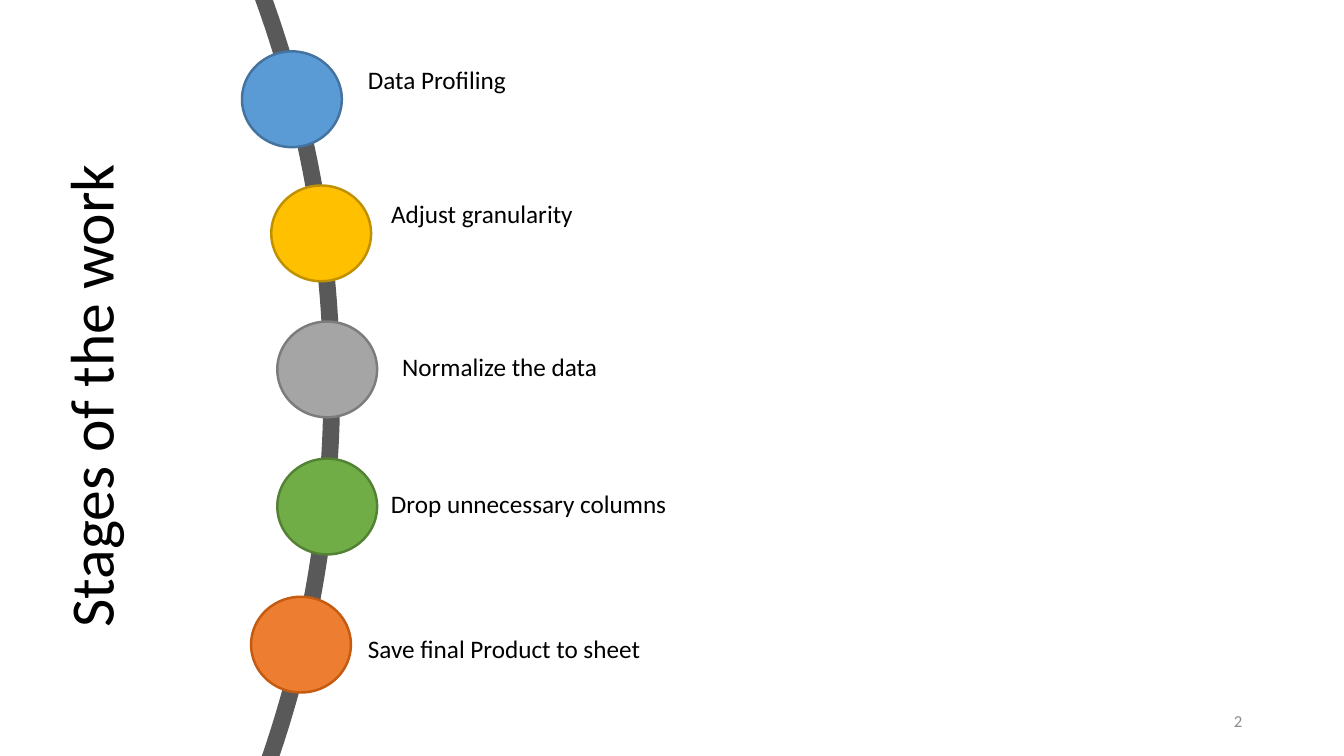
from dataclasses import dataclass

from lxml import etree
from pptx import Presentation
from pptx import util as u
from pptx.dml.color import RGBColor
from pptx.enum import shapes, text
from pptx.oxml.ns import qn


@dataclass(frozen=True)
class Theme:
    font: str = "Calibri"
    ink: str = "000000"
    muted: str = "8C8C8C"
    arc: str = "595959"
    title_size: int = 44
    label_size: int = 18
    number_size: int = 12
    arc_width: float = 12
    marker_width: float = 1.75


THEME = Theme()
MARKER_SIZE = (0.99, 0.95)
LABEL_HEIGHT = 0.4

# Label, marker left/top, label left/top/width, fill, outline
STAGES = [
    ("Data Profiling", (2.4, 0.51), (3.55, 0.59, 7.69), "5B9BD5", "43739E"),
    ("Adjust granularity", (2.69, 1.84), (3.78, 1.92, 7.69), "FFC000", "BF9000"),
    ("Normalize the data", (2.75, 3.19), (3.89, 3.44, 5.77), "A5A5A5", "7C7C7C"),
    ("Drop unnecessary columns", (2.75, 4.55), (3.78, 4.8, 5.77), "70AD47", "548235"),
    ("Save final Product to sheet", (2.49, 5.92), (3.55, 6.23, 5.77), "ED7D31", "C55A11"),
]


def inches(*lengths):
    return [u.Inches(length) for length in lengths]


def style_font(font, size, color):
    font.name = THEME.font
    font.size = u.Pt(size)
    font.color.rgb = RGBColor.from_string(color)


def set_title(slide, wording):
    title = slide.shapes.title
    title.left, title.top, title.width, title.height = inches(-1.64, 3.03, 5.14, 1.45)
    title.rotation = 270
    frame = title.text_frame
    frame.text = wording
    frame.auto_size = text.MSO_AUTO_SIZE.NONE
    frame.vertical_anchor = text.MSO_ANCHOR.MIDDLE
    line = frame.paragraphs[0]
    line.alignment = text.PP_ALIGN.LEFT
    line.line_spacing = 0.9
    style_font(line.runs[0].font, THEME.title_size, THEME.ink)


def add_circle(slide, left, top, width, height, outline, weight, fill=None):
    circle = slide.shapes.add_shape(
        shapes.MSO_SHAPE.OVAL, *inches(left, top, width, height))
    circle.shadow.inherit = False
    if fill:
        circle.fill.solid()
        circle.fill.fore_color.rgb = RGBColor.from_string(fill)
    else:
        circle.fill.background()
    circle.line.color.rgb = RGBColor.from_string(outline)
    circle.line.width = u.Pt(weight)


def add_label(slide, wording, left, top, width):
    label = slide.shapes.add_textbox(*inches(left, top, width, LABEL_HEIGHT))
    frame = label.text_frame
    frame.word_wrap = True
    frame.auto_size = text.MSO_AUTO_SIZE.SHAPE_TO_FIT_TEXT
    frame.text = wording
    style_font(frame.paragraphs[0].runs[0].font, THEME.label_size, THEME.ink)


def add_slide_number(slide, number):
    box = slide.shapes.add_textbox(*inches(9.42, 6.95, 3, 0.4))
    frame = box.text_frame
    frame.word_wrap = True
    frame.vertical_anchor = text.MSO_ANCHOR.MIDDLE
    frame.text = number
    line = frame.paragraphs[0]
    line.alignment = text.PP_ALIGN.RIGHT
    style_font(line.runs[0].font, THEME.number_size, THEME.muted)


def main():
    deck = Presentation()
    deck.slide_width, deck.slide_height = inches(13.33, 7.5)
    slide = deck.slides.add_slide(deck.slide_layouts[5])

    # Title and slide number
    set_title(slide, "Stages of the work")
    add_slide_number(slide, "2")

    # Arc that links the stages
    add_circle(slide, -19.38, -7.49, 22.67, 22.67, THEME.arc, THEME.arc_width)

    # Stage markers with their labels
    for wording, marker_at, label_at, fill, outline in STAGES:
        add_circle(slide, *marker_at, *MARKER_SIZE, outline, THEME.marker_width, fill)
        add_label(slide, wording, *label_at)

    deck.save("out.pptx")


main()
